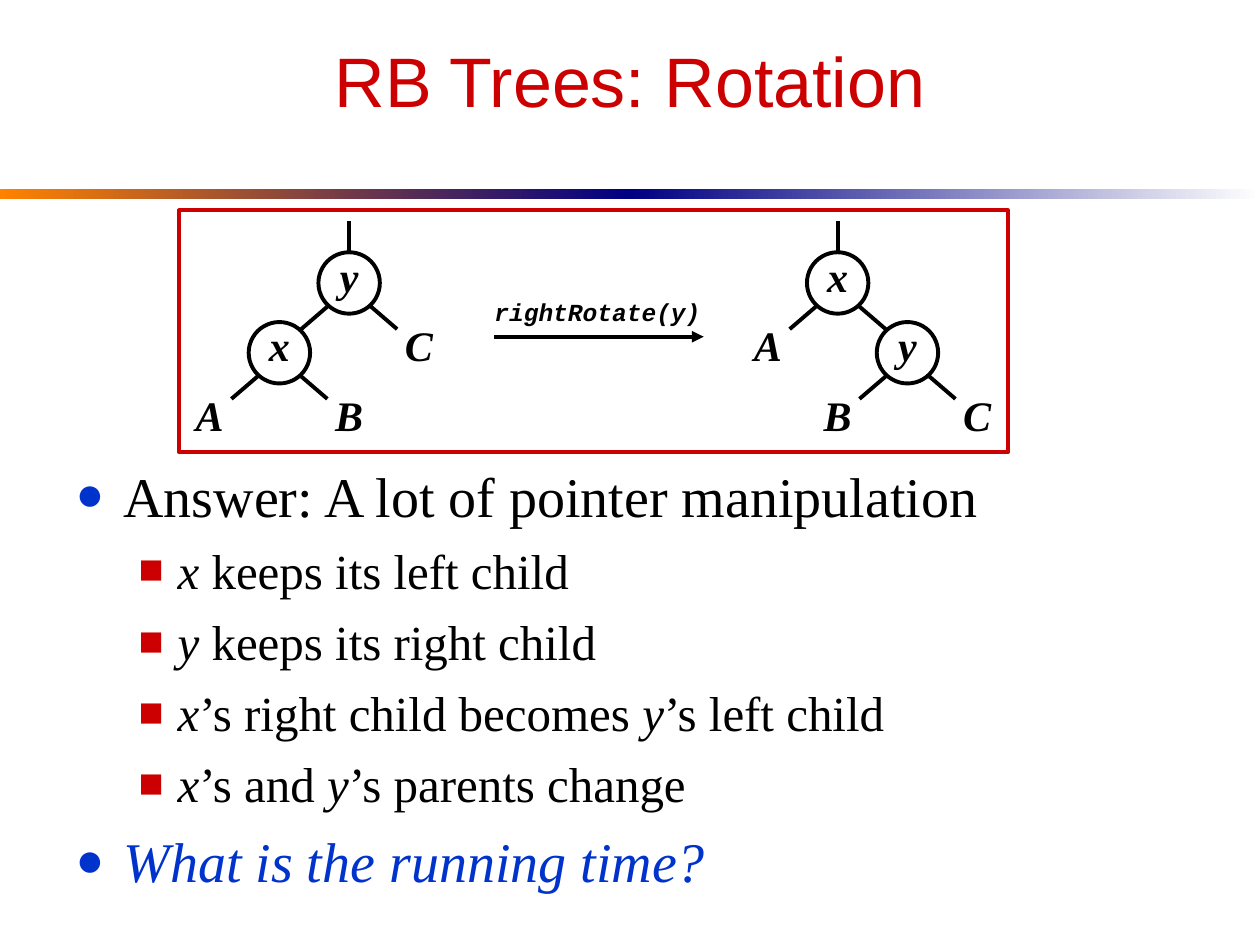
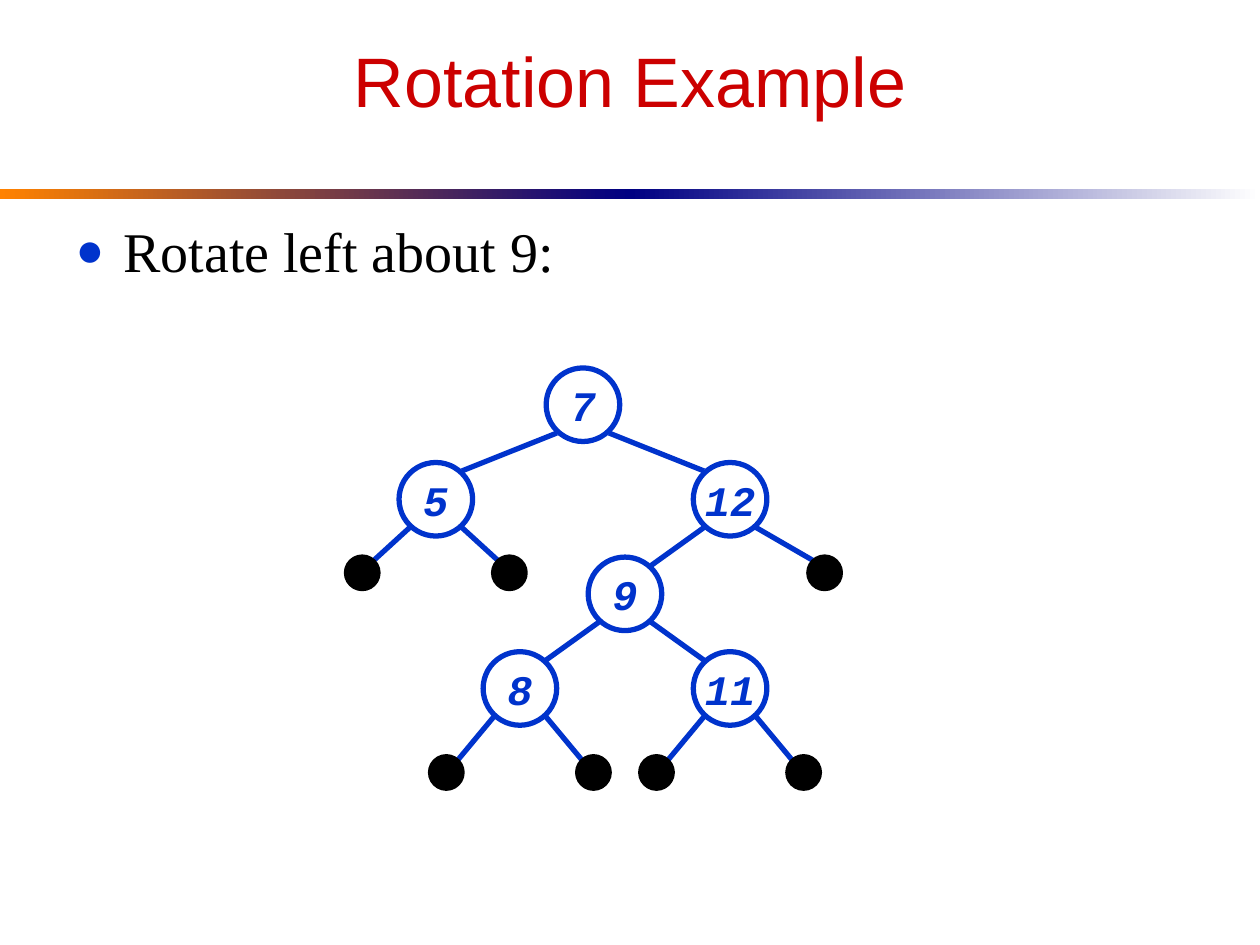
from lxml import etree
from pptx import Presentation
from pptx.dml.color import RGBColor
from pptx.enum.shapes import MSO_CONNECTOR as CONN, MSO_SHAPE as SHAPE
from pptx.enum.text import MSO_ANCHOR as ANCHOR, MSO_AUTO_SIZE as FIT, PP_ALIGN as ALIGN
from pptx.oxml.ns import qn
from pptx.util import Inches, Pt

W, H = 10, 7.5
RED, BLUE, BLACK, WHITE = "CC0000", "0033CC", "000000", "FFFFFF"
ORANGE, NAVY = "FF8200", "000082"
SANS, SERIF, MONO = "Arial", "Times New Roman", "Courier New"

LEVELS = [
    {"char": "●", "color": BLUE, "left": 0.38, "hang": 0.38, "size": 32, "before": 8},
    {"char": "■", "color": RED, "left": 0.81, "hang": 0.31, "size": 28, "before": 7},
]

LETTER = {"size": 0.88, "fill": WHITE, "line": None, "width": 2.25, "spacing": 0.6,
          "font": {"name": SERIF, "size": 24, "color": BLACK, "bold": True, "italic": True}}
RING = {**LETTER, "line": BLACK}
NUMBER = {"size": 7, "fill": WHITE, "line": BLUE, "width": 3, "spacing": 1,
          "font": {**LETTER["font"], "name": MONO, "color": BLUE}}
NIL = {"size": 3, "fill": BLACK, "line": BLACK, "width": 3}


def rgb(color):
    return RGBColor.from_string(color)


def set_font(font, fmt):
    for key, value in fmt.items():
        if key == "color":
            font.color.rgb = rgb(value)
        else:
            setattr(font, key, Pt(value) if key == "size" else value)


def set_frame(tf, **fmt):
    for key, value in {"auto_size": FIT.NONE, **fmt}.items():
        setattr(tf, key, value)


def place(sp, box):
    for key, value in zip(("left", "top", "width", "height"), box):
        setattr(sp, key, Inches(value))


def add_shape(s, kind, box, fill=None, line=None, width=2.25):
    sp = s.shapes.add_shape(kind, *map(Inches, box))
    sp.shadow.inherit = False
    if fill:
        sp.fill.solid()
        sp.fill.fore_color.rgb = rgb(fill)
    else:
        sp.fill.background()
    if line:
        sp.line.color.rgb = rgb(line)
        sp.line.width = Pt(width)
    else:
        sp.line.fill.background()
    return sp


def add_line(s, start, end, color, width, arrow=False):
    cn = s.shapes.add_connector(CONN.STRAIGHT, *map(Inches, (*start, *end)))
    cn.line.color.rgb = rgb(color)
    cn.line.width = Pt(width)
    if arrow:
        etree.SubElement(cn.line._get_or_add_ln(), qn("a:tailEnd"), type="triangle")
    etree.SubElement(cn._element.spPr, qn("a:effectLst"))


def add_label(tf, text, font, spacing=1):
    p = tf.paragraphs[0]
    p.alignment = ALIGN.CENTER
    p.line_spacing = spacing
    r = p.add_run()
    r.text = text
    set_font(r.font, font)


def add_bullet(p, level):
    pPr = p._p.get_or_add_pPr()
    pPr.set("marL", str(Inches(level["left"])))
    pPr.set("indent", str(-Inches(level["hang"])))
    color = etree.SubElement(pPr, qn("a:buClr"))
    etree.SubElement(color, qn("a:srgbClr"), val=level["color"])
    etree.SubElement(pPr, qn("a:buSzPct"), val="85000")
    etree.SubElement(pPr, qn("a:buFont"), typeface=SERIF)
    etree.SubElement(pPr, qn("a:buChar"), char=level["char"])


def fill_list(body, box, items):
    place(body, box)
    tf = body.text_frame
    set_frame(tf, vertical_anchor=ANCHOR.TOP, word_wrap=True)
    for i, (depth, text, color) in enumerate(items):
        level = LEVELS[depth]
        p = tf.add_paragraph() if i else tf.paragraphs[0]
        p.level = depth
        add_bullet(p, level)
        p.space_before = Pt(level["before"] if i else 0)
        for j, part in enumerate(text.split("*")):
            if part:
                r = p.add_run()
                r.text = part
                set_font(r.font, {"name": SERIF, "size": level["size"],
                                  "color": color, "italic": j % 2 == 1})


def add_band(s, box):
    x, y, w, h = box
    for i, colors in enumerate([(ORANGE, NAVY), (NAVY, WHITE)]):
        sp = add_shape(s, SHAPE.RECTANGLE, (x + i * w / 2, y, w / 2, h))
        sp.fill.gradient()
        sp.fill.gradient_angle = 0
        for k, (stop, color) in enumerate(zip(sp.fill.gradient_stops, colors)):
            stop.position = k
            stop.color.rgb = rgb(color)


def add_slide(prs, title, items, list_top):
    s = prs.slides.add_slide(prs.slide_layouts[1])
    add_band(s, (0, 0.2 * H, W, 0.08))
    place(s.shapes.title, (0.05 * W, 0.25, 0.9 * W, 1.08))
    tf = s.shapes.title.text_frame
    set_frame(tf, vertical_anchor=ANCHOR.TOP, word_wrap=True)
    add_label(tf, title, {"name": SANS, "size": 40, "color": RED})
    fill_list(s.placeholders[1], (0.05 * W, list_top, 0.9 * W, 0.95 * H - list_top), items)
    return s


def add_tree(s, box, columns, nodes, edges):
    left, top, width, _ = box
    unit = width / columns

    def end(name, side, down):
        x, y, style = nodes[name][-3:]
        radius = style["size"] / 2
        return left + (x + 0.71 * radius * side) * unit, top + (y + 0.77 * radius * down) * unit

    for parent, children in edges.items():
        for child in children:
            side = 1 if nodes[child][-3] > nodes[parent][-3] else -1
            style = nodes[parent][-1]
            add_line(s, end(parent, side, 1), end(child, -side, -1), style["line"], style["width"])
    for name, (x, y, style) in nodes.items():
        size = style["size"]
        sp = add_shape(s, SHAPE.OVAL,
                       (left + (x - size / 2) * unit, top + (y - size / 2) * unit,
                        size * unit, size * unit),
                       style["fill"], style["line"], style["width"])
        if "font" in style:
            set_frame(sp.text_frame, vertical_anchor=ANCHOR.MIDDLE, word_wrap=False)
            add_label(sp.text_frame, name, style["font"], style["spacing"])


def add_rotation(s, box):
    left, top, width, _ = box
    columns = 11.88
    unit = width / columns

    def at(x, y):
        return left + x * unit, top + y * unit

    trees = [
        ({"y": (2, 0), "x": (1, 1), "C": (3, 1), "A": (0, 2), "B": (2, 2)},
         {"y": "xC", "x": "AB"}),
        ({"x": (9, 0), "A": (8, 1), "y": (10, 1), "B": (9, 2), "C": (11, 2)},
         {"x": "Ay", "y": "BC"}),
    ]
    for cells, edges in trees:
        nodes = {name: (col + 0.44, row + 1.04, RING if name in edges else LETTER)
                 for name, (col, row) in cells.items()}
        add_tree(s, box, columns, nodes, edges)
        root_x = next(iter(nodes.values()))[0]
        add_line(s, at(root_x, 0.6), at(root_x, 0.15), BLACK, 2.25)

    add_line(s, at(4.52, 1.81), at(7.52, 1.81), BLACK, 2.25, arrow=True)
    tb = s.shapes.add_textbox(*map(Inches, (*at(4.34, 1.14), 3.32 * unit, 0.61 * unit)))
    set_frame(tb.text_frame, vertical_anchor=ANCHOR.MIDDLE, word_wrap=False)
    add_label(tb.text_frame, "rightRotate(y)", {**LETTER["font"], "name": MONO, "size": 14})
    add_shape(s, SHAPE.RECTANGLE, box, line=RED)


def add_example(s, box):
    nodes = {"7": (22.5, 3.5, NUMBER), "5": (8.5, 12.5, NUMBER), "12": (36.5, 12.5, NUMBER),
             "9": (26.5, 21.5, NUMBER), "8": (16.5, 30.5, NUMBER), "11": (36.5, 30.5, NUMBER)}
    edges = {"7": ["5", "12"], "12": ["9"], "9": ["8", "11"]}
    nils = {"5": (-7, 7), "12": (9,), "8": (-7, 7), "11": (-7, 7)}
    for parent, shifts in nils.items():
        x, y, _ = nodes[parent]
        for shift in shifts:
            name = f"{parent} nil {shift}"
            nodes[name] = (x + shift, y + (8 if y > 20 else 7), NIL)
            edges.setdefault(parent, []).append(name)
    add_tree(s, box, 47, nodes, edges)


def main():
    prs = Presentation()
    prs.slide_width, prs.slide_height = Inches(W), Inches(H)
    s = add_slide(prs, "RB Trees: Rotation", [
        (0, "Answer: A lot of pointer manipulation", BLACK),
        (1, "*x* keeps its left child", BLACK),
        (1, "*y* keeps its right child", BLACK),
        (1, "*x*’s right child becomes *y*’s left child", BLACK),
        (1, "*x*’s and *y*’s parents change", BLACK),
        (0, "*What is the running time?*", BLUE),
    ], 3.61)
    add_rotation(s, (1.42, 1.67, 6.58, 1.92))
    s = add_slide(prs, "Rotation Example", [(0, "Rotate left about 9:", BLACK)], 1.67)
    add_example(s, (2.75, 2.92, 3.92, 3.33))
    prs.save("out.pptx")


if __name__ == "__main__":
    main()
